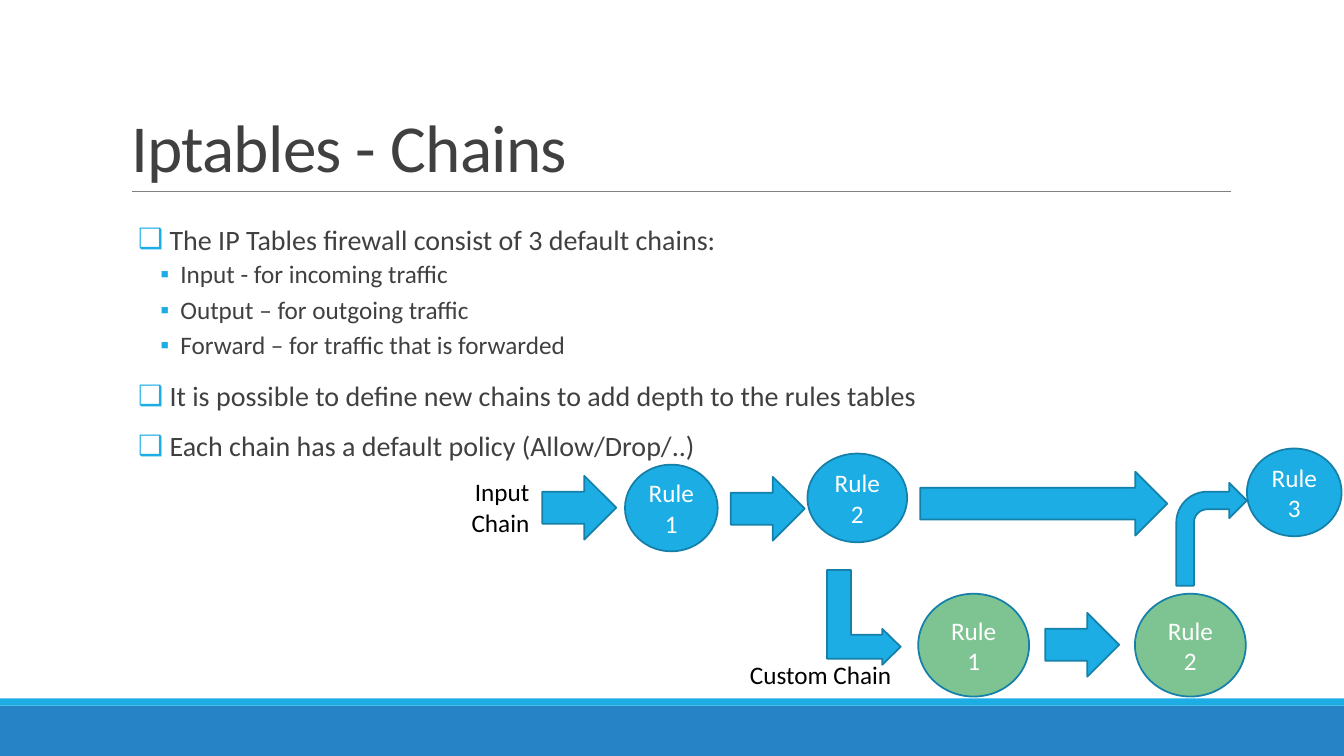
from lxml.etree import SubElement
from pptx import Presentation
from pptx.dml.color import RGBColor
from pptx.enum.shapes import MSO_CONNECTOR, MSO_SHAPE
from pptx.enum.text import MSO_ANCHOR, MSO_AUTO_SIZE, PP_ALIGN
from pptx.oxml.ns import qn
from pptx.util import Inches, Pt

COLORS = {
    "accent": "1CADE4", "outline": "1580A9", "custom": "7EC492", "footer": "2683C6",
    "text": "404040", "label": "000000", "white": "FFFFFF", "divider": "808080",
}
COLUMNS, ROWS = 80, 45
CELL = Inches(1 / 6)


def grid(*cells):
    """Convert grid columns and rows to slide lengths."""
    return [round(cell * CELL) for cell in cells]


def style_font(paragraph, size, color):
    for run in paragraph.runs:
        run.font.name = "Calibri"
        run.font.size = Pt(size)
        run.font.color.rgb = RGBColor.from_string(COLORS[color])


deck = Presentation()
deck.slide_width, deck.slide_height = grid(COLUMNS, ROWS)
slide = deck.slides.add_slide(deck.slide_layouts[1])
shapes = slide.shapes

# Footer bands and the line under the title
for top, height, color in [(42, 3, "footer"), (41.58, 0.42, "accent")]:
    band = shapes.add_shape(MSO_SHAPE.RECTANGLE, *grid(0, top, COLUMNS, height))
    band.shadow.inherit = False
    band.fill.solid()
    band.fill.fore_color.rgb = RGBColor.from_string(COLORS[color])
    band.line.fill.background()

divider = shapes.add_connector(MSO_CONNECTOR.STRAIGHT, *grid(7.86, 11.4, 73.26, 11.4))
divider.line.color.rgb = RGBColor.from_string(COLORS["divider"])
divider.line.width = Pt(0.5)
SubElement(divider._element.spPr, qn("a:effectLst"))

# Title
title = shapes.title
title.left, title.top, title.width, title.height = grid(7.2, 1.86, 66, 9.54)
title.text_frame.text = "Iptables - Chains"
title.text_frame.auto_size = MSO_AUTO_SIZE.NONE
title.text_frame.vertical_anchor = MSO_ANCHOR.BOTTOM
heading = title.text_frame.paragraphs[0]
heading.alignment = PP_ALIGN.LEFT
heading.line_spacing = 0.85
style_font(heading, 48, "text")
heading.runs[0].font._element.set("spc", "-50")

# Bullet list
points = [
    (0, " The IP Tables firewall consist of 3 default chains:"),
    (1, "Input - for incoming traffic"),
    (1, "Output – for outgoing traffic"),
    (1, "Forward – for traffic that is forwarded"),
    (0, " It is possible to define new chains to add depth to the rules tables"),
    (0, " Each chain has a default policy (Allow/Drop/..)"),
]
# Per level: size, space before, space after, margin, indent, bullet
levels = [(20, 12, 2, 0.1, -0.1, "❑"), (18, 2, 4, 0.42, -0.2, "▪")]

body = slide.placeholders[1]
body.left, body.top, body.width, body.height = grid(8.22, 13.14, 66, 26.4)
body.text_frame.text = "\n".join(wording for _, wording in points)
body.text_frame.auto_size = MSO_AUTO_SIZE.NONE
body.text_frame.margin_left = body.text_frame.margin_right = 0
for (level, _), point in zip(points, body.text_frame.paragraphs):
    size, before, after, margin, indent, bullet = levels[level]
    point.level = level
    point.line_spacing = 0.9
    point.space_before, point.space_after = Pt(before), Pt(after)
    style_font(point, size, "text")
    properties = point._p.get_or_add_pPr()
    properties.set("marL", str(Inches(margin)))
    properties.set("indent", str(Inches(indent)))
    bullet_color = SubElement(properties, qn("a:buClr"))
    SubElement(bullet_color, qn("a:srgbClr"), val=COLORS["accent"])
    SubElement(properties, qn("a:buChar"), char=bullet)

# Chain labels
for wording, place in [
    ("Input Chain", (24.06, 28.08, 8.04, 4.26)),
    ("Custom Chain", (42.3, 38.94, 11.34, 2.4)),
]:
    label = shapes.add_textbox(*grid(*place)).text_frame
    label.word_wrap = True
    label.text = wording
    label.paragraphs[0].alignment = PP_ALIGN.RIGHT
    style_font(label.paragraphs[0], 18, "label")

# Rules and the arrows between them
step, rule = MSO_SHAPE.RIGHT_ARROW, MSO_SHAPE.OVAL
step_size, custom_size = (4.4, 3.8), (6.6, 6.12)
for kind, place, color, wording in [
    (step, (32.28, 28.32, *step_size), "accent", ""),
    (rule, (37.2, 27.66, 5.52, 5.16), "accent", "Rule 1"),
    (step, (43.5, 28.38, *step_size), "accent", ""),
    (rule, (48.06, 27, 5.94, 5.28), "accent", "Rule 2"),
    (rule, (54.66, 35.34, *custom_size), "custom", "Rule 1"),
    (step, (62.22, 36.48, *step_size), "accent", ""),
    (rule, (67.56, 35.34, *custom_size), "custom", "Rule 2"),
    (MSO_SHAPE.BENT_UP_ARROW, (48.6, 34.56, 5.64, 4.38), "accent", ""),
    (rule, (74.22, 26.7, 5.64, 5.22), "accent", "Rule 3"),
    (MSO_SHAPE.BENT_ARROW, (70.02, 28.74, 4.2, 6.12), "accent", ""),
    (step, (54.78, 28.08, 14.7, 3.8), "accent", ""),
]:
    part = shapes.add_shape(kind, *grid(*place))
    part.shadow.inherit = False
    part.fill.solid()
    part.fill.fore_color.rgb = RGBColor.from_string(COLORS[color])
    part.line.color.rgb = RGBColor.from_string(COLORS["outline"])
    part.line.width = Pt(1.25)
    if kind == MSO_SHAPE.BENT_UP_ARROW:
        part.rotation = 90
        for index, share in enumerate((0.325, 0.244, 0.25)):
            part.adjustments[index] = share
    if wording:
        part.text_frame.text = wording
        part.text_frame.word_wrap = True
        part.text_frame.vertical_anchor = MSO_ANCHOR.MIDDLE
        part.text_frame.paragraphs[0].alignment = PP_ALIGN.CENTER
        style_font(part.text_frame.paragraphs[0], 18, "white")

deck.save("out.pptx")
